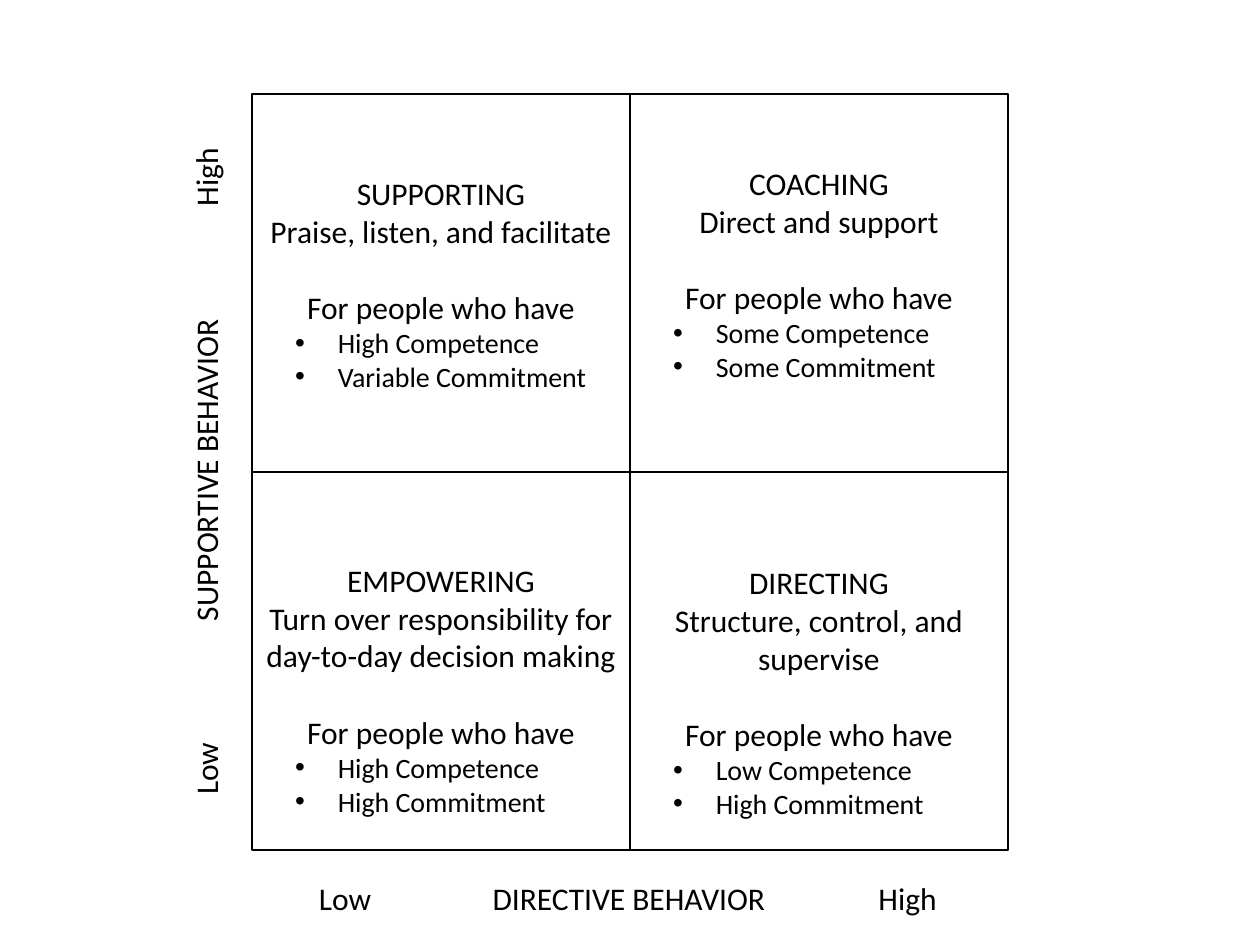
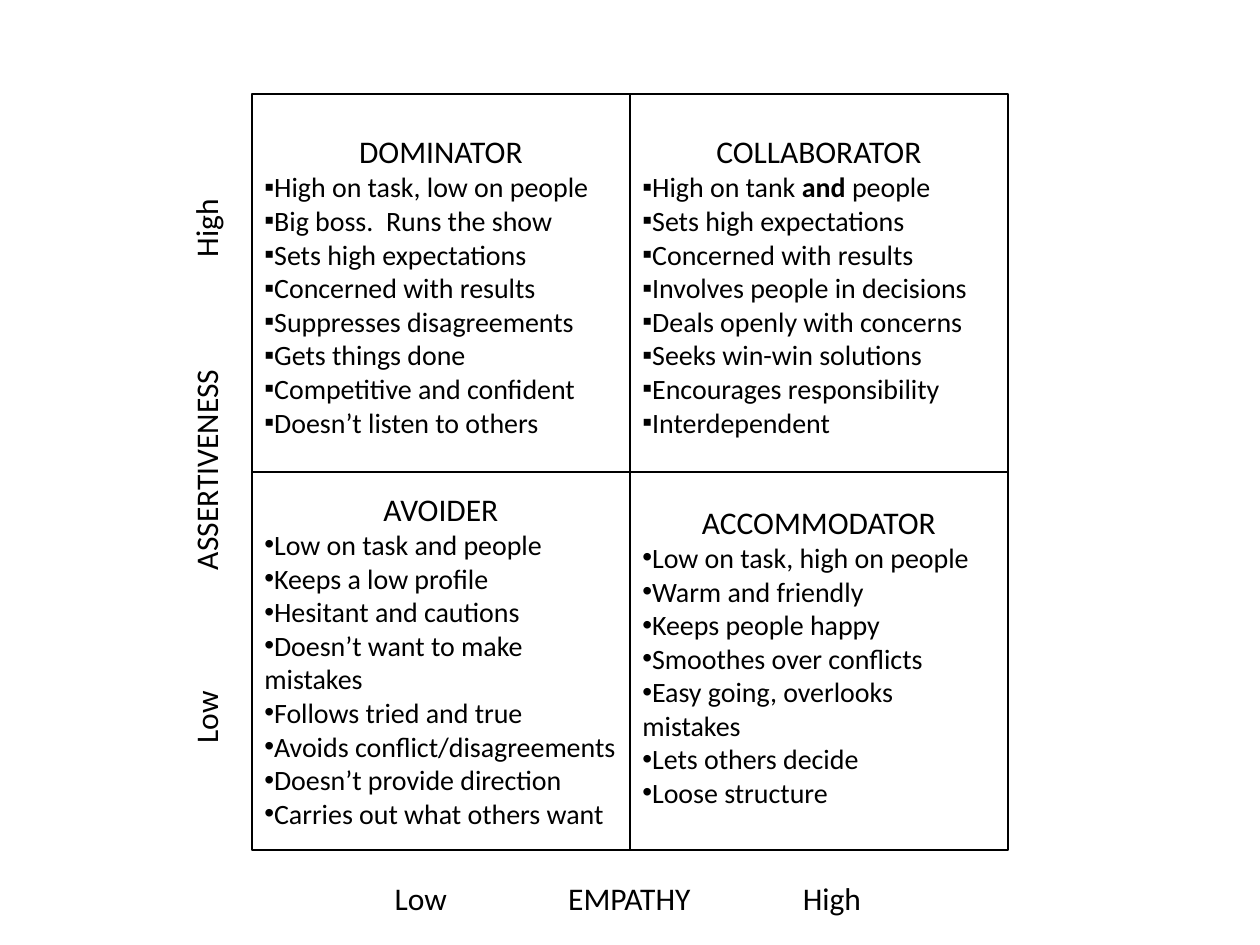
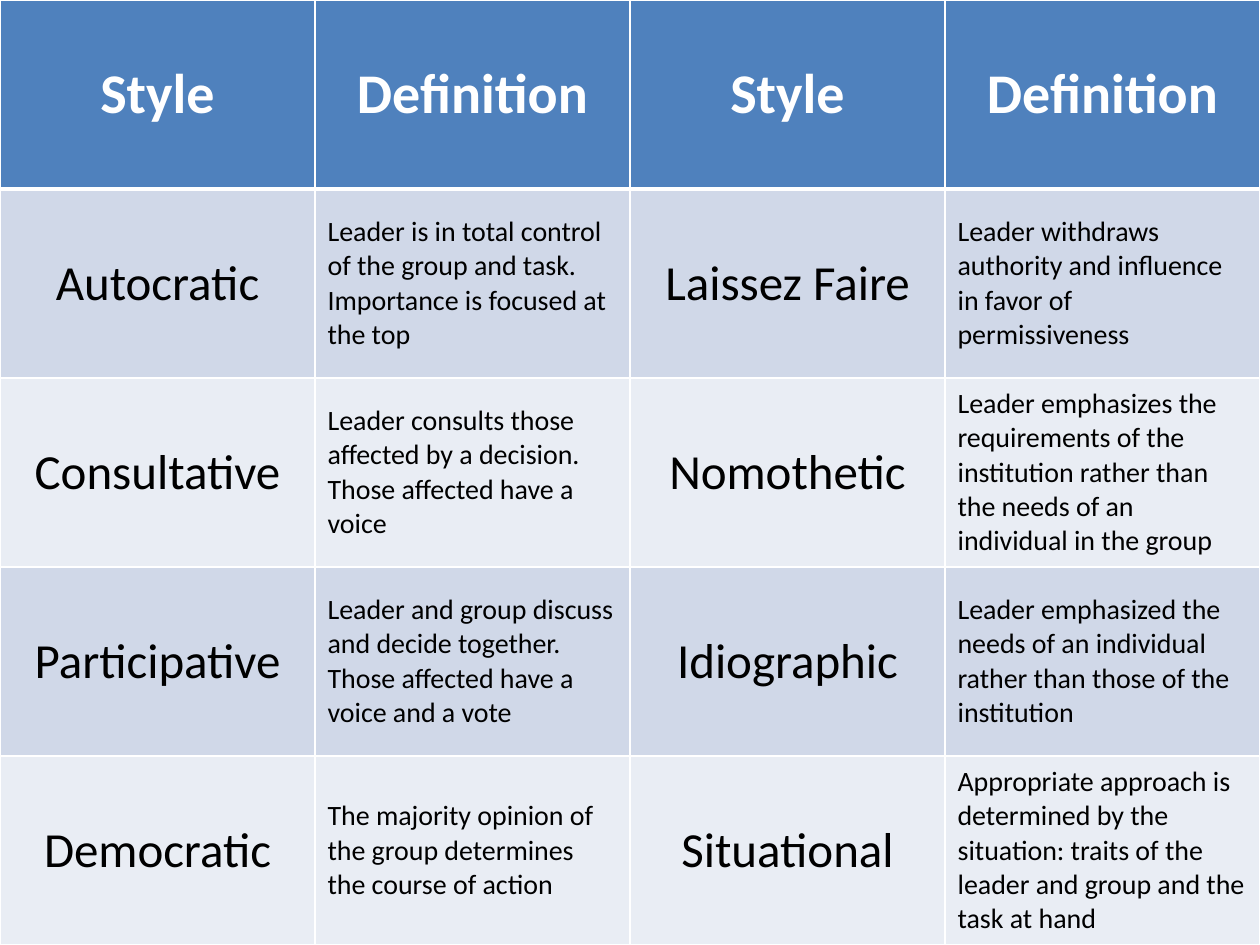
from lxml import etree
from pptx import Presentation
from pptx.dml.color import RGBColor
from pptx.enum import shapes, text
from pptx.oxml import ns
from pptx.util import Cm, Pt

# Shared look
FONT = "Calibri"
BLACK, WHITE = "000000", "FFFFFF"
HEADER, BANDS = "4F81BD", ("D0D8E8", "E9EDF4")
HEADING_SIZE, BODY_SIZE = 18, 16

# Matrix geometry in centimetres
LEFT, TOP, SIDE = 5.08, 1.9, 15.24
HALF = SIDE / 2
AXIS_HEIGHT = 1.02
NAME_STOP, HIGH_STOP_FROM_END = 3.5, 1.88

# Quadrants: column, top, height, heading, items
LEADERSHIP = [
    (0, 3.38, 4.7, "SUPPORTING", "Praise, listen, and facilitate",
     ["High Competence", "Variable Commitment"]),
    (0, 11.18, 5.46, "EMPOWERING",
     "Turn over responsibility for day-to-day decision making",
     ["High Competence", "High Commitment"]),
    (1, 3.18, 4.7, "COACHING", "Direct and support",
     ["Some Competence", "Some Commitment"]),
    (1, 11.23, 5.46, "DIRECTING", "Structure, control, and supervise",
     ["Low Competence", "High Commitment"]),
]
# Quadrants: column, top, height, bullet, heading, items (*bold*)
CONFLICT = [
    (0, 2.54, 6.5, "▪", "DOMINATOR",
     ["High on task, low on people", "Big boss.  Runs the show",
      "Sets high expectations", "Concerned with results",
      "Suppresses disagreements", "Gets things done",
      "Competitive and confident", "Doesn’t listen to others"]),
    (0, 9.75, 7.19, "•", "AVOIDER",
     ["Low on task and people", "Keeps a low profile",
      "Hesitant and cautions", "Doesn’t want to make mistakes",
      "Follows tried and true", "Avoids conflict/disagreements",
      "Doesn’t provide direction", "Carries out what others want"]),
    (1, 2.54, 6.5, "▪", "COLLABORATOR",
     ["High on tank *and* people", "Sets high expectations",
      "Concerned with results", "Involves people in decisions",
      "Deals openly with concerns", "Seeks win-win solutions",
      "Encourages responsibility", "Interdependent"]),
    (1, 10.01, 6.5, "•", "ACCOMMODATOR",
     ["Low on task, high on people", "Warm and friendly",
      "Keeps people happy", "Smoothes over conflicts",
      "Easy going, overlooks mistakes", "Lets others decide",
      "Loose structure"]),
]
STYLES = [
    ("Style", "Definition", "Style", "Definition"),
    ("Autocratic",
     "Leader is in total control of the group and task.  "
     "Importance is focused at the top",
     "Laissez Faire",
     "Leader withdraws authority and influence in favor of permissiveness"),
    ("Consultative",
     "Leader consults those affected by a decision.  "
     "Those affected have a voice",
     "Nomothetic",
     "Leader emphasizes the requirements of the institution rather than "
     "the needs of an individual in the group"),
    ("Participative",
     "Leader and group discuss and decide together.  "
     "Those affected have a voice and a vote",
     "Idiographic",
     "Leader emphasized the needs of an individual rather than those of "
     "the institution"),
    ("Democratic",
     "The majority opinion of the group determines the course of action",
     "Situational",
     "Appropriate approach is determined by the situation: traits of the "
     "leader and group and the task at hand"),
]


def color(code):
    return RGBColor.from_string(code)


def add_xml(parent, tag, **attributes):
    return etree.SubElement(parent, ns.qn(tag),
                            {name: str(value) for name, value in attributes.items()})


# Text
def style_para(para, size, code=BLACK, bold=False, centered=False):
    para.font.name, para.font.size, para.font.bold = FONT, Pt(size), bold
    para.font.color.rgb = color(code)
    para.alignment = text.PP_ALIGN.CENTER if centered else text.PP_ALIGN.LEFT


def add_box(page, left, top, width, height):
    box = page.shapes.add_textbox(Cm(left), Cm(top), Cm(width), Cm(height))
    box.text_frame.word_wrap = True
    return box


def add_para(frame, words, size=HEADING_SIZE, centered=True):
    first = frame.paragraphs[0]
    para = frame.add_paragraph() if first.runs else first
    for index, part in enumerate(words.split("*")):
        span = para.add_run()
        span.text = part
        if index % 2:
            span.font.bold = True
    style_para(para, size, centered=centered)
    return para


def add_bullet(frame, words, mark, margin=0, hanging=0):
    para = add_para(frame, words, BODY_SIZE, centered=False)
    props = para._p.get_or_add_pPr()
    props.set("marL", str(Cm(margin)))
    props.set("indent", str(-Cm(hanging)))
    bullet = [etree.Element(ns.qn("a:buFont"), typeface="Arial"),
              etree.Element(ns.qn("a:buChar"), char=mark)]
    for place, element in enumerate(bullet):
        props.insert(place, element)


# Matrix
def add_line(page, x1, y1, x2, y2):
    line = page.shapes.add_connector(shapes.MSO_CONNECTOR.STRAIGHT,
                                     Cm(x1), Cm(y1), Cm(x2), Cm(y2))
    line.line.color.rgb, line.line.width = color(BLACK), Pt(1)
    add_xml(line._element.spPr, "a:effectLst")


def add_matrix(page):
    square = page.shapes.add_shape(shapes.MSO_SHAPE.RECTANGLE,
                                   Cm(LEFT), Cm(TOP), Cm(SIDE), Cm(SIDE))
    square.shadow.inherit = False
    square.fill.background()
    square.line.color.rgb, square.line.width = color(BLACK), Pt(1)
    add_line(page, LEFT + HALF, TOP, LEFT + HALF, TOP + SIDE)
    add_line(page, LEFT, TOP + HALF, LEFT + SIDE, TOP + HALF)


def add_axis(page, name, length, center_x, center_y, rotation=0):
    box = add_box(page, center_x - length / 2, center_y - AXIS_HEIGHT / 2,
                  length, AXIS_HEIGHT)
    box.rotation = rotation
    para = add_para(box.text_frame, "\t".join(("Low", name, "High")), centered=False)
    tabs = add_xml(para._p.get_or_add_pPr(), "a:tabLst")
    para._p.pPr.insert(0, tabs)
    for stop in (NAME_STOP, length - HIGH_STOP_FROM_END):
        add_xml(tabs, "a:tab", pos=Cm(stop), algn="l")


def add_axes(page, across, across_length, upward, upward_length):
    add_axis(page, across, across_length, 12.76, 18.11)
    add_axis(page, upward, upward_length, 4.15, 9.4, rotation=270)


def add_quadrant(page, column, top, height, heading):
    frame = add_box(page, LEFT + column * HALF, top, HALF, height).text_frame
    add_para(frame, heading)
    return frame


# Table
def set_borders(cell, widths):
    props = cell._tc.get_or_add_tcPr()
    for place, (side, width) in enumerate(widths.items()):
        border = add_xml(props, f"a:ln{side}", w=Pt(width))
        add_xml(add_xml(border, "a:solidFill"), "a:srgbClr", val=WHITE)
        props.insert(place, border)


def fill_cell(cell, words, row, column):
    is_header, is_style = row == 0, column % 2 == 0
    cell.text = words
    cell.vertical_anchor = text.MSO_ANCHOR.MIDDLE
    cell.fill.solid()
    cell.fill.fore_color.rgb = color(HEADER if is_header else BANDS[(row - 1) % 2])
    para = cell.text_frame.paragraphs[0]
    if is_header:
        style_para(para, 32, WHITE, bold=True, centered=True)
    else:
        style_para(para, 28 if is_style else BODY_SIZE, centered=is_style)
    set_borders(cell, {"L": 1, "R": 1, "T": 3 if row == 1 else 1,
                       "B": 3 if is_header else 1})


def add_style_table(page, deck):
    table = page.shapes.add_table(len(STYLES), len(STYLES[0]), 0, 0,
                                  deck.slide_width, deck.slide_height).table
    for row, entries in enumerate(STYLES):
        for column, words in enumerate(entries):
            fill_cell(table.cell(row, column), words, row, column)


# Slides
def build_leadership(page):
    add_matrix(page)
    for column, top, height, heading, action, needs in LEADERSHIP:
        frame = add_quadrant(page, column, top, height, heading)
        add_para(frame, action)
        add_para(frame, "For people who have").space_before = Pt(22)
        for need in needs:
            add_bullet(frame, need, "•", margin=1.48, hanging=0.86)
    add_axes(page, "DIRECTIVE BEHAVIOR", 13.16, "SUPPORTIVE BEHAVIOR", 13.74)


def build_conflict(page):
    add_matrix(page)
    for column, top, height, mark, heading, traits in CONFLICT:
        frame = add_quadrant(page, column, top, height, heading)
        for trait in traits:
            add_bullet(frame, trait, mark)
    add_axes(page, "EMPATHY", 10.11, "ASSERTIVENESS", 11.68)


def main():
    deck = Presentation()
    deck.slide_width, deck.slide_height = Cm(25.4), Cm(19.05)
    blank = deck.slide_layouts[6]
    build_leadership(deck.slides.add_slide(blank))
    build_conflict(deck.slides.add_slide(blank))
    add_style_table(deck.slides.add_slide(blank), deck)
    deck.save("out.pptx")


if __name__ == "__main__":
    main()
